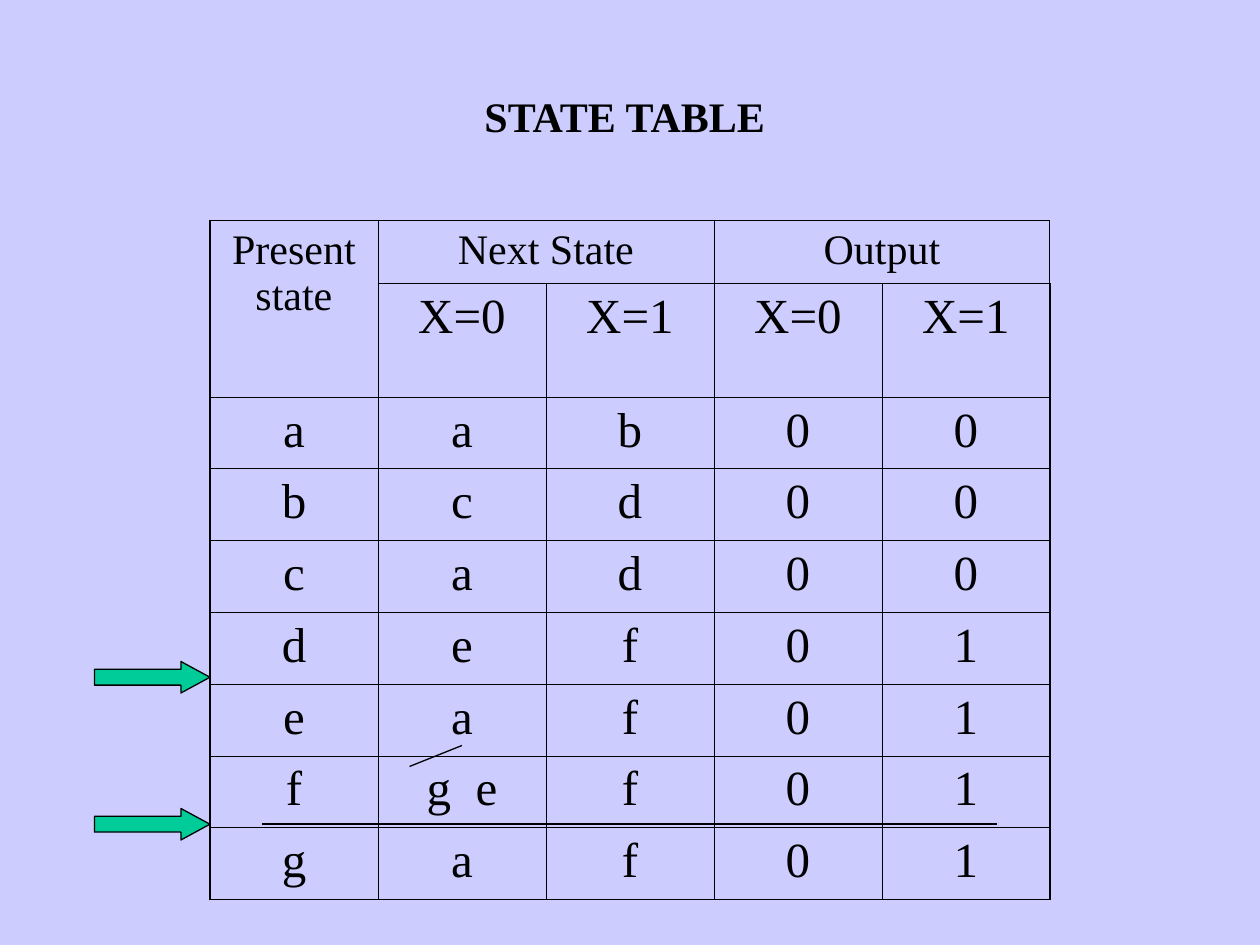
"""Build the state table slide with its two arrows and two marks."""
from lxml import etree
from pptx import Presentation
from pptx import util as u
from pptx.dml.color import RGBColor
from pptx.enum import shapes, text
from pptx.oxml import ns

PX = 3048
INK = {"back": "CCCCFF", "line": "000000", "arrow": "00CC99"}
FONT = "Times New Roman"


def write(para, words, size, bold=False):
    para.alignment = text.PP_ALIGN.CENTER
    run = para.add_run()
    run.text = words
    run.font.name, run.font.size, run.font.bold = FONT, u.Pt(size), bold
    run.font.color.rgb = RGBColor.from_string(INK["line"])
    return run


def edge(cell, side, width):
    line = etree.SubElement(cell._tc.get_or_add_tcPr(), ns.qn(f"a:ln{side}"), w=str(u.Pt(width)))
    fill = etree.SubElement(line, ns.qn("a:solidFill"))
    etree.SubElement(fill, ns.qn("a:srgbClr"), val=INK["line"])


deck = Presentation()
deck.slide_width, deck.slide_height = 3000 * PX, 2250 * PX
slide = deck.slides.add_slide(deck.slide_layouts[5])
slide.background.fill.solid()
slide.background.fill.fore_color.rgb = RGBColor.from_string(INK["back"])

title = slide.shapes.title
title.left, title.top, title.width, title.height = 750 * PX, 200 * PX, 1475 * PX, 150 * PX
title.text_frame.word_wrap = True
title.text_frame.auto_size = text.MSO_AUTO_SIZE.SHAPE_TO_FIT_TEXT
title.text_frame.vertical_anchor = text.MSO_ANCHOR.TOP
write(title.text_frame.paragraphs[0], "STATE TABLE", 24, True)

rows = [
    ["Present state", "Next State", "", "Output", ""],
    ["", "X=0", "X=1", "X=0", "X=1"],
    ["a", "a", "b", "0", "0"],
    ["b", "c", "d", "0", "0"],
    ["c", "a", "d", "0", "0"],
    ["d", "e", "f", "0", "1"],
    ["e", "a", "f", "0", "1"],
    ["f", "g e", "f", "0", "1"],
    ["g", "a", "f", "0", "1"],
]
highs = [150, 270] + [171] * 7
frame = slide.shapes.add_table(9, 5, 500 * PX, 525 * PX, 2000 * PX, sum(highs) * PX)
grid = frame.table
grid.first_row = grid.horz_banding = False
for col in grid.columns:
    col.width = 400 * PX
for row, high in zip(grid.rows, highs):
    row.height = high * PX
for top, left, low, right in [(0, 0, 1, 0), (0, 1, 0, 2), (0, 3, 0, 4)]:
    grid.cell(top, left).merge(grid.cell(low, right))

for r, row in enumerate(rows):
    for c, words in enumerate(row):
        cell = grid.cell(r, c)
        for side, outer in [("L", c == 0), ("R", c == 4), ("T", r == 0), ("B", r == 8)]:
            edge(cell, side, 1.08 if outer else 0.45)
        cell.fill.background()
        para = cell.text_frame.paragraphs[0]
        size = 24 if r == 0 else 28
        if " " in words and r > 0:
            old, new = words.split()
            write(para, old, size)
            gap = write(para, " ", size)
            gap.font._element.set("spc", "700")
            write(para, new, size)
        elif words:
            write(para, words, size)

for top in (1925, 1575):
    arrow = slide.shapes.add_shape(
        shapes.MSO_SHAPE.RIGHT_ARROW, 225 * PX, top * PX, 275 * PX, 75 * PX)
    arrow.adjustments[0], arrow.adjustments[1] = 0.5, 0.92
    arrow.shadow.inherit = False
    arrow.fill.solid()
    arrow.fill.fore_color.rgb = RGBColor.from_string(INK["arrow"])
    arrow.line.color.rgb = RGBColor.from_string(INK["line"])
    arrow.line.width = u.Pt(0.75)

for ends in [(625, 1962, 2375, 1962), (975, 1825, 1100, 1775)]:
    mark = slide.shapes.add_connector(
        shapes.MSO_CONNECTOR.STRAIGHT, *[end * PX for end in ends])
    mark.line.color.rgb = RGBColor.from_string(INK["line"])
    mark.line.width = u.Pt(0.75)
    etree.SubElement(mark._element.spPr, ns.qn("a:effectLst"))

deck.save("out.pptx")
